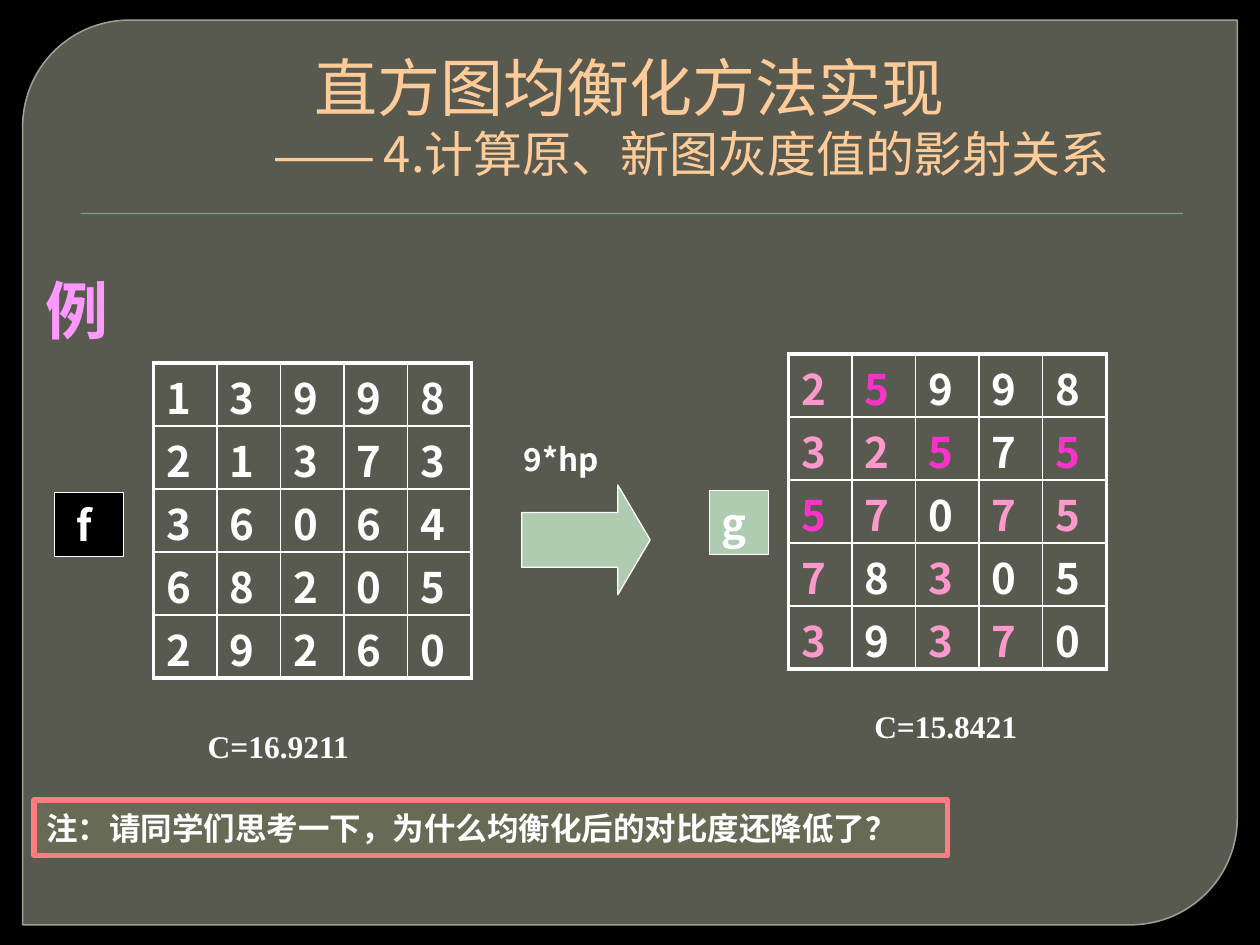
import pptx
import pptx.util
import pptx.dml.color
import pptx.enum.shapes
import pptx.enum.text
import pptx.oxml
import pptx.oxml.ns

COLORS = {
    "black": "000000",
    "white": "FFFFFF",
    "panel": "888B7B",
    "panel_line": "9DA090",
    "rule": "72A376",
    "sage": "B0CCB0",
    "violet": "FF99FF",
    "peach": "FFCC99",
    "pink": "FF99CC",
    "magenta": "FF33CC",
    "coral": "FF7C80",
    "olive": "676A55",
}
SANS = "Noto Sans CJK SC"
SERIF = "Times New Roman"
TONES = {"w": "white", "p": "pink", "m": "magenta"}
COLUMNS, ROWS = 100, 75
SHAPES = pptx.enum.shapes.MSO_SHAPE
ALIGN = pptx.enum.text.PP_ALIGN

ORIGINAL_DIGITS = ["13998", "21373", "36064", "68205", "29260"]
ORIGINAL_TONES = ["wwwww"] * 5
EQUALIZED_DIGITS = ["25998", "32575", "57075", "78305", "39370"]
EQUALIZED_TONES = ["pmwww", "ppmwm", "mpwpp", "pwpww", "pwppw"]


def color(name):
    return pptx.dml.color.RGBColor.from_string(COLORS[name])


def add_run(paragraph, text, size=18, font=SANS, tone="white", bold=True):
    run = paragraph.add_run()
    run.text = text
    run.font.size = pptx.util.Pt(size)
    run.font.name = font
    run.font.bold = bold
    run.font.color.rgb = color(tone)
    east_asian = pptx.oxml.parse_xml(
        f'<a:ea {pptx.oxml.ns.nsdecls("a")} typeface="{SANS}"/>')
    run.font._element.find(pptx.oxml.ns.qn("a:latin")).addnext(east_asian)


class SlideBuilder:
    def __init__(self, presentation):
        self.column = presentation.slide_width / COLUMNS
        self.row = presentation.slide_height / ROWS
        self.slide = presentation.slides.add_slide(presentation.slide_layouts[6])

    def place(self, left, top, width, height):
        return (round(left * self.column), round(top * self.row),
                round(width * self.column), round(height * self.row))

    def background(self, tone):
        fill = self.slide.background.fill
        fill.solid()
        fill.fore_color.rgb = color(tone)

    def shape(self, kind, area, fill, line=None, weight=0.75, adjustments=(), opacity=None):
        shape = self.slide.shapes.add_shape(kind, *self.place(*area))
        shape.shadow.inherit = False
        for index, value in enumerate(adjustments):
            shape.adjustments[index] = value
        shape.fill.solid()
        shape.fill.fore_color.rgb = color(fill)
        if opacity:
            alpha = pptx.oxml.parse_xml(
                f'<a:alpha {pptx.oxml.ns.nsdecls("a")} val="{opacity * 1000}"/>')
            shape._element.spPr.find(".//" + pptx.oxml.ns.qn("a:srgbClr")).append(alpha)
        if line:
            shape.line.color.rgb = color(line)
            shape.line.width = pptx.util.Pt(weight)
        else:
            shape.line.fill.background()
        return shape

    def fill_text(self, shape, text, inset=1, **style):
        frame = shape.text_frame
        frame.word_wrap = True
        frame.vertical_anchor = pptx.enum.text.MSO_ANCHOR.MIDDLE
        frame.margin_left = round(inset * self.column)
        frame.margin_top = frame.margin_bottom = 0
        frame.paragraphs[0].alignment = ALIGN.LEFT
        add_run(frame.paragraphs[0], text, **style)

    def label(self, area, text, **style):
        self.fill_text(self.slide.shapes.add_textbox(*self.place(*area)), text, **style)

    def title(self, area, heading, subtitle_runs, indent):
        box = self.slide.shapes.add_textbox(*self.place(*area))
        frame = box.text_frame
        frame.word_wrap = True
        frame.vertical_anchor = pptx.enum.text.MSO_ANCHOR.MIDDLE
        first, second = frame.paragraphs[0], frame.add_paragraph()
        first.alignment = second.alignment = ALIGN.CENTER
        second._p.get_or_add_pPr().set("marL", str(round(indent * self.column)))
        add_run(first, heading, size=36, tone="peach", bold=False)
        for text, font in subtitle_runs:
            add_run(second, text, size=28, font=font, tone="peach", bold=False)

    def border(self, cell, side, weight):
        width = pptx.util.Pt(weight)
        cell._tc.get_or_add_tcPr().append(pptx.oxml.parse_xml(
            f'<a:ln{side} {pptx.oxml.ns.nsdecls("a")} w="{width}"><a:solidFill>'
            f'<a:srgbClr val="{COLORS["white"]}"/></a:solidFill></a:ln{side}>'))

    def matrix(self, area, digits, tones):
        count = len(digits)
        table = self.slide.shapes.add_table(count, count, *self.place(*area)).table
        table.first_row = table.horz_banding = False
        for i in range(count):
            for j in range(count):
                cell = table.cell(i, j)
                cell.margin_top = round(0.2 * self.row)
                cell.margin_bottom = 0
                add_run(cell.text_frame.paragraphs[0], digits[i][j],
                        size=24, tone=TONES[tones[i][j]])
                outer = {"L": j == 0, "R": j == count - 1,
                         "T": i == 0, "B": i == count - 1}
                for side, is_outer in outer.items():
                    self.border(cell, side, 2.25 if is_outer else 1)
                cell.fill.background()


def main():
    presentation = pptx.Presentation()
    presentation.slide_width = pptx.util.Inches(10)
    presentation.slide_height = pptx.util.Inches(7.5)
    builder = SlideBuilder(presentation)
    builder.background("black")
    builder.shape(SHAPES.ROUND_2_DIAG_RECTANGLE, (1.8, 1.6, 96.4, 71.8), "panel",
                  line="panel_line", weight=0.87, adjustments=(0.118, 0), opacity=65)
    builder.shape(SHAPES.RECTANGLE, (6.4, 16.9, 87.5, 0.1), "rule")
    builder.label((2, 21, 7.1, 7.1), "例", inset=1.6, size=36, tone="violet")

    original_box = builder.shape(SHAPES.RECTANGLE, (4.3, 39.1, 5.5, 5.1), "black", line="white")
    builder.fill_text(original_box, "f", inset=1.8, size=24)
    builder.matrix((62.6, 28.1, 25.2, 25), EQUALIZED_DIGITS, EQUALIZED_TONES)
    equalized_box = builder.shape(SHAPES.RECTANGLE, (56.3, 38.9, 4.7, 5.1), "sage", line="white")
    builder.fill_text(equalized_box, "g", size=24)
    builder.matrix((12.2, 28.8, 25.2, 25), ORIGINAL_DIGITS, ORIGINAL_TONES)

    builder.label((15.5, 57.2, 20.8, 4), "C=16.9211", font=SERIF)
    builder.shape(SHAPES.RIGHT_ARROW, (41.4, 38.5, 10.2, 8.7), "sage", line="white",
                  adjustments=(0.5, 0.295))
    builder.label((40.6, 34.4, 10.8, 4), "9*hp")
    builder.label((68.4, 55.6, 15.8, 4), "C=15.8421", font=SERIF)
    note = builder.shape(SHAPES.RECTANGLE, (2.7, 63.5, 72.5, 4.4), "olive",
                         line="coral", weight=3)
    builder.fill_text(note, "注：请同学们思考一下，为什么均衡化后的对比度还降低了？", font=SERIF)
    builder.title((2.7, 1.3, 94.5, 15.7), "直方图均衡化方法实现",
                  [("——", "Arial"), (" 4.计算原、新图灰度值的影射关系", SANS)], indent=10)
    presentation.save("out.pptx")


if __name__ == "__main__":
    main()
